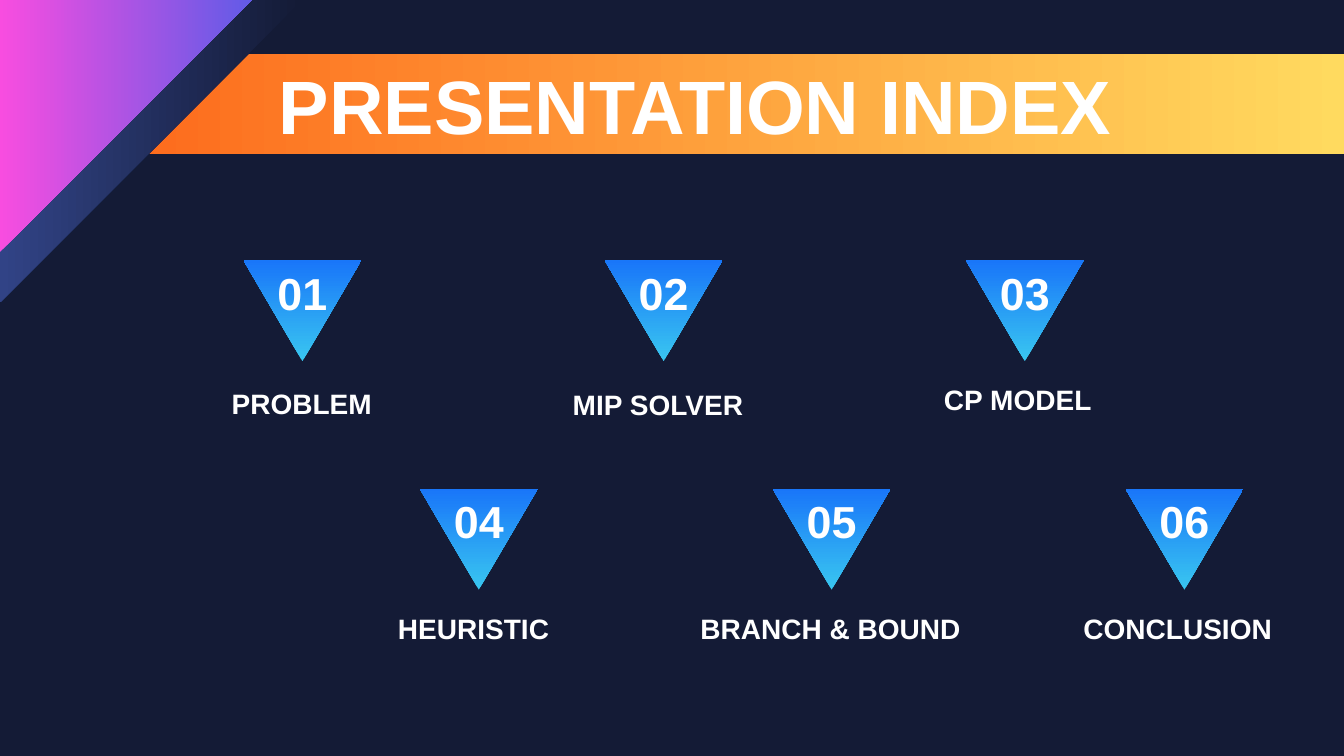
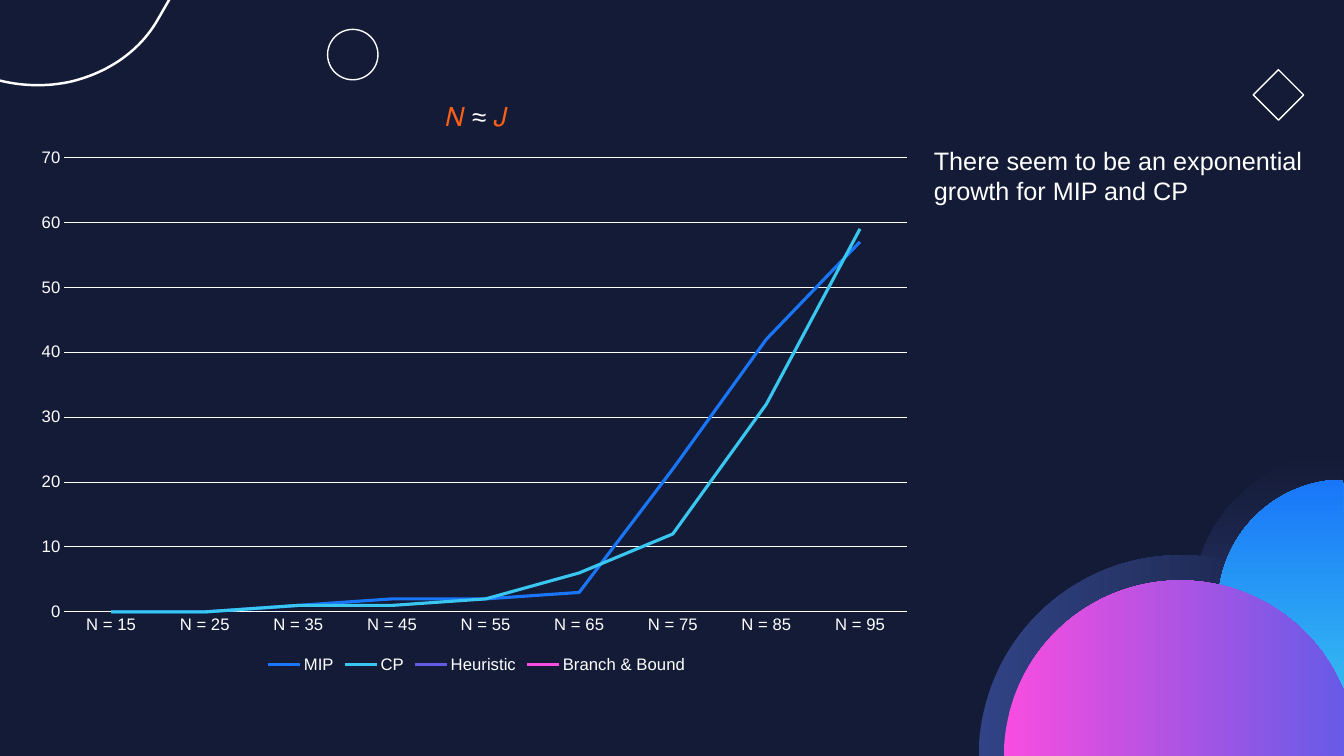
from lxml import etree
from pptx import Presentation
from pptx import util as u
from pptx.chart import data as cd
from pptx.dml import color
from pptx.enum import chart as ch, shapes, text
from pptx.oxml import ns


class Theme:
    font = "Arial"
    back = color.RGBColor.from_string("141B36")
    white = color.RGBColor.from_string("FFFFFF")
    orange = color.RGBColor.from_string("FD5F15")
    yellow = color.RGBColor.from_string("FFDA5F")
    navy = color.RGBColor.from_string("314386")
    pink = color.RGBColor.from_string("F84DE0")
    purple = color.RGBColor.from_string("625BE7")
    cyan = color.RGBColor.from_string("39C6F0")
    blue = color.RGBColor.from_string("1976F9")
    title, number, label, body = 54, 32, 20, 18
    chart_title, chart_text = 18.6, 11.9


prs = Presentation()
prs.slide_width, prs.slide_height = u.Inches(13.333), u.Inches(7.5)
UNIT = prs.slide_width / 160  # the slide is a grid of 160 columns and 90 rows
S, LEFT, CENTER = shapes.MSO_SHAPE, text.PP_ALIGN.LEFT, text.PP_ALIGN.CENTER


def add_shape(parent, kind, at, grad=None, angle=0, rot=0):
    """Preset shape: a gradient without outline, or a white outline only."""
    sp = parent.add_shape(kind, *[int(n * UNIT) for n in at])
    sp.shadow.inherit = False
    sp.rotation = rot
    if grad:
        sp.fill.gradient()
        sp.fill.gradient_angle = angle
        for stop, rgb in zip(sp.fill.gradient_stops, grad):
            stop.color.rgb = rgb
        sp.line.fill.background()
    else:
        sp.fill.background()
        sp.line.color.rgb = Theme.white
        sp.line.width = u.Pt(1)
    return sp


def write(sp, words, size, bold=True, align=LEFT):
    """White text from the top of a box or placeholder."""
    tf = sp.text_frame
    tf.word_wrap = True
    tf.auto_size = text.MSO_AUTO_SIZE.NONE
    tf.vertical_anchor = text.MSO_ANCHOR.TOP
    p = tf.paragraphs[0]
    p.alignment = align
    r = p.add_run()
    r.text = words
    r.font.name, r.font.size, r.font.bold = Theme.font, u.Pt(size), bold
    r.font.color.rgb = Theme.white


# Shared background
fill = prs.slide_master.background.fill
fill.solid()
fill.fore_color.rgb = Theme.back

# Slide 1: index
s = prs.slides.add_slide(prs.slide_layouts[5])
title = s.shapes.title
title.left, title.top, title.width, title.height = [int(n * UNIT) for n in (32, 6.4, 108, 12)]
write(title, "PRESENTATION INDEX", Theme.title)

# Title band and corner, placed behind the title
behind = [
    add_shape(s.shapes, S.RECTANGLE, (0, 6.4, 160, 12), (Theme.yellow, Theme.orange), 180),
    add_shape(s.shapes, S.RIGHT_TRIANGLE, (0, 0, 36, 36), (Theme.back, Theme.navy), 270, 90),
    add_shape(s.shapes, S.RIGHT_TRIANGLE, (0, 0, 30, 30), (Theme.pink, Theme.purple), 90, 90),
]
for sp in behind:
    title.element.addprevious(sp.element)

# Two rows of numbered triangles: first centre, step, top, (label, width, top)
rows = [
    (36, 43, 31, [("PROBLEM", 19.2, 45.4), ("MIP SOLVER", 24, 45.6), ("CP MODEL", 21.6, 45)]),
    (57, 42, 58.2, [("HEURISTIC", 21.6, 72.2), ("BRANCH & BOUND", 33.6, 72.2),
                    ("CONCLUSION", 26.4, 72.2)]),
]
number = 0
for first, step, top, labels in rows:
    for i, (label, width, label_top) in enumerate(labels):
        number += 1
        mid = first + i * step
        badge = s.shapes.add_group_shape().shapes
        add_shape(badge, S.ISOSCELES_TRIANGLE, (mid - 7, top, 14, 12),
                  (Theme.cyan, Theme.blue), 270, 180)
        sp = badge.add_textbox(*[int(n * UNIT) for n in (mid - 6, top, 12, 7.7)])
        write(sp, f"{number:02}", Theme.number, align=CENTER)
        sp = s.shapes.add_textbox(*[int(n * UNIT) for n in (mid - width / 2, label_top, width, 6)])
        write(sp, label, Theme.label)

# Slide 2: run times
s = prs.slides.add_slide(prs.slide_layouts[6])
data = cd.CategoryChartData()
data.categories = [f"N = {n}" for n in range(15, 100, 10)]
series = [
    ("MIP", [0, 0, 1, 2, 2, 3, 22, 42, 57], Theme.blue),
    ("CP", [0, 0, 1, 1, 2, 6, 12, 32, 59], Theme.cyan),
    ("Heuristic", [None] * 9, Theme.purple),
    ("Branch & Bound", [None] * 9, Theme.pink),
]
for name, values, _ in series:
    data.add_series(name, values)
frame = s.shapes.add_chart(ch.XL_CHART_TYPE.LINE,
                           *[int(n * UNIT) for n in (3.4, 9.5, 106.7, 71.2)], data)
chart = frame.chart
chart.font.name, chart.font.size = Theme.font, u.Pt(Theme.chart_text)
chart.font.color.rgb = Theme.white
chart.plots[0].vary_by_categories = False
for line, (_, _, rgb) in zip(chart.plots[0].series, series):
    line.smooth = False
    line.format.line.color.rgb = rgb
    line.format.line.width = u.Pt(2.25)

# Chart title
chart.has_title = True
p = chart.chart_title.text_frame.paragraphs[0]
for words, rgb in (("𝑁", Theme.orange), (" ≈ ", Theme.white), ("𝐽", Theme.orange)):
    r = p.add_run()
    r.text = words
    r.font.name, r.font.size, r.font.bold = Theme.font, u.Pt(Theme.chart_title), False
    r.font.color.rgb = rgb
chart.chart_title.include_in_layout = False

# Legend and axes
chart.has_legend = True
chart.legend.position = ch.XL_LEGEND_POSITION.BOTTOM
chart.legend.include_in_layout = False
cat, val = chart.category_axis, chart.value_axis
val.minimum_scale, val.maximum_scale, val.major_unit = 0, 70, 10
val.has_major_gridlines = True
for axis in (cat, val):
    axis.major_tick_mark = axis.minor_tick_mark = ch.XL_TICK_MARK.NONE
for fmt in (cat.format, val.major_gridlines.format):
    fmt.line.color.rgb = Theme.white
    fmt.line.width = u.Pt(0.75)
val.format.line.fill.background()

# Fixed plot area, as shares of the chart
plot = chart.element.find(".//" + ns.qn("c:plotArea"))
for old in plot.findall(ns.qn("c:layout")):
    plot.remove(old)
layout = etree.Element(ns.qn("c:layout"))
manual = etree.SubElement(layout, ns.qn("c:manualLayout"))
for tag, value in (("layoutTarget", "inner"), ("xMode", "edge"), ("yMode", "edge"),
                   ("x", 0.04), ("y", 0.13), ("w", 0.94), ("h", 0.76)):
    etree.SubElement(manual, ns.qn("c:" + tag)).set("val", str(value))
plot.insert(0, layout)

# Arc in the corner: two Bézier curves and a straight end
curves = [
    [(-4.9, 7.7), (-0.7, 10), (4.1, 10.7), (8.5, 9.7)],
    [(8.5, 9.7), (13, 8.6), (16.7, 6), (18.8, 2.3)],
]
points = []
for curve in curves:
    for t in [k / 24 for k in range(25)]:
        weights = ((1 - t) ** 3, 3 * t * (1 - t) ** 2, 3 * t * t * (1 - t), t ** 3)
        points.append([sum(w * pt[d] for w, pt in zip(weights, curve)) * UNIT for d in (0, 1)])
points.append((22.6 * UNIT, -4.3 * UNIT))
builder = s.shapes.build_freeform(*[int(n) for n in points[0]])
builder.add_line_segments([(int(x), int(y)) for x, y in points[1:]], close=False)
arc = builder.convert_to_shape()
arc.shadow.inherit = False
arc.fill.background()
arc.line.color.rgb = Theme.white
arc.line.width = u.Pt(1.75)

# Half discs: left, top, size, rotation, colours
for left, top, size, rot, grad in (
    (142, 54, 36, 90, (Theme.navy, Theme.back)),
    (116.5, 66.1, 48, 180, (Theme.navy, Theme.back)),
    (145, 57.1, 30, 90, (Theme.cyan, Theme.blue)),
    (119.5, 69.1, 42, 180, (Theme.pink, Theme.purple)),
):
    sp = add_shape(s.shapes, S.PIE, (left, top, size, size), grad, 180, rot)
    sp.adjustments[0], sp.adjustments[1] = 0, 107.72

# Outlined ornaments and remark
add_shape(s.shapes, S.OVAL, (39, 3.5, 6, 6))
add_shape(s.shapes, S.DIAMOND, (149.2, 8.3, 6, 6))
sp = s.shapes.add_textbox(*[int(n * UNIT) for n in (110, 16.7, 48, 12)])
write(sp, "There seem to be an exponential growth for MIP and CP", Theme.body, bold=False)

prs.save("out.pptx")
